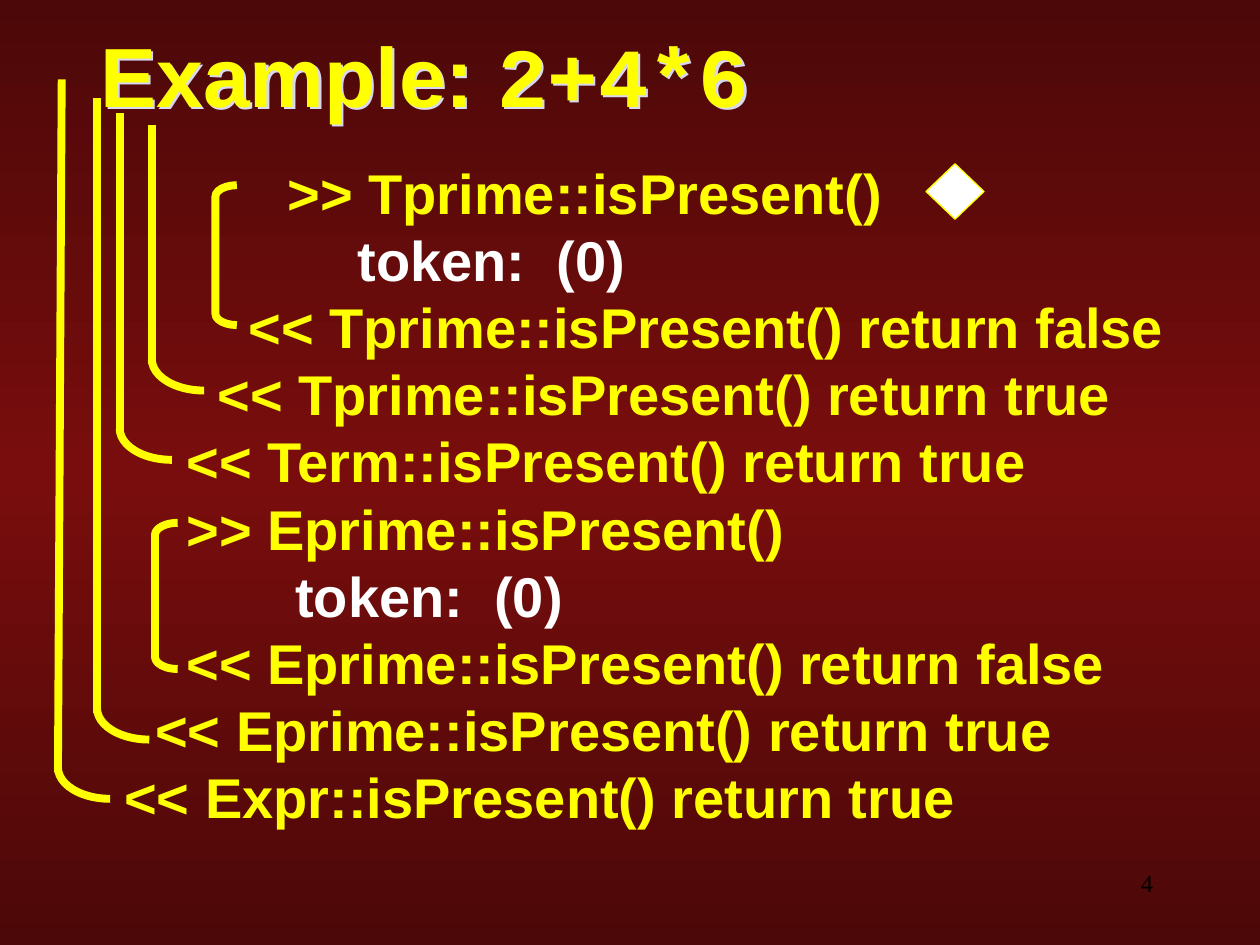
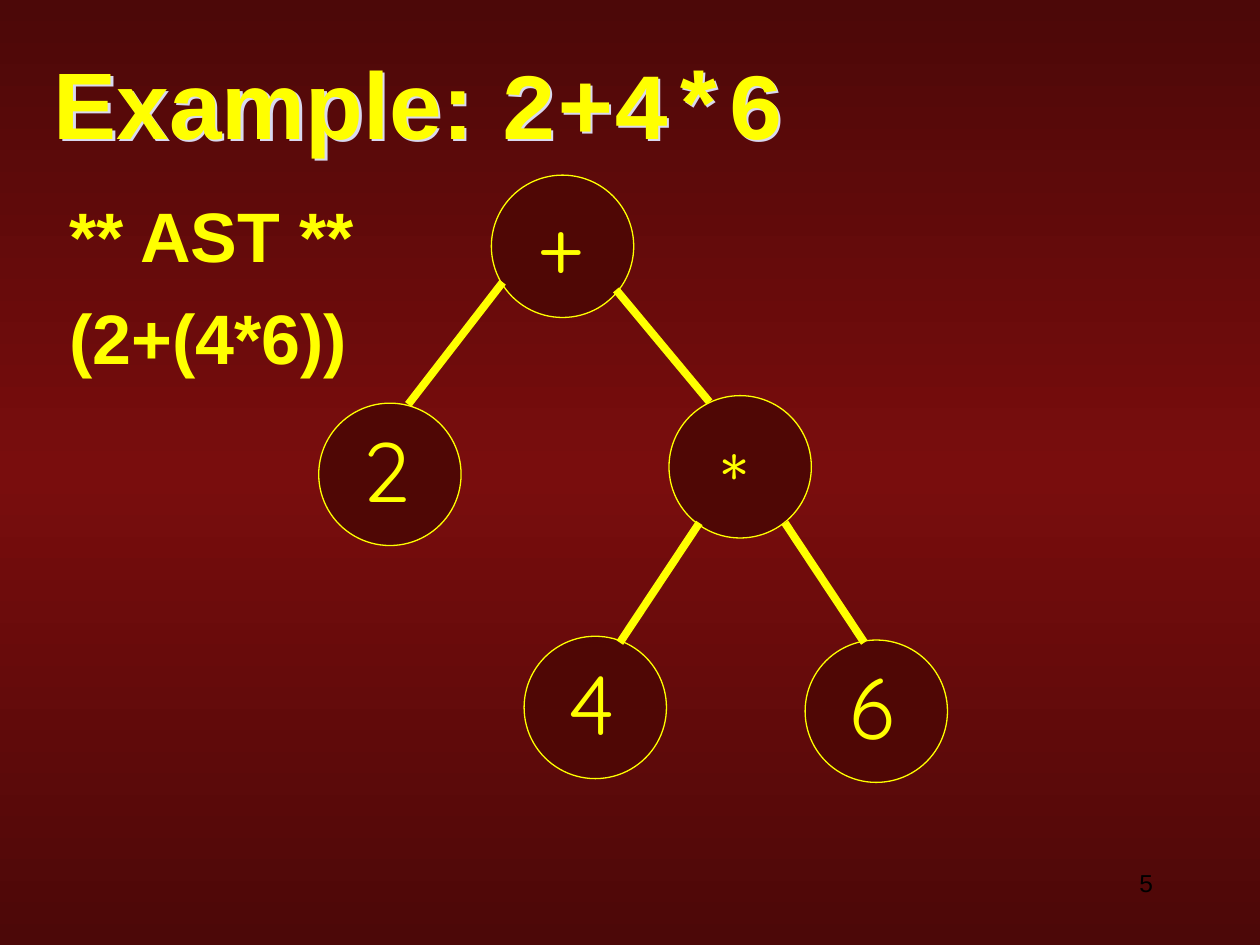
from copy import deepcopy

from lxml import etree
from pptx import Presentation
from pptx.dml.color import RGBColor
from pptx.enum.shapes import MSO_CONNECTOR, MSO_SHAPE
from pptx.enum.text import MSO_ANCHOR, PP_ALIGN
from pptx.oxml.ns import qn
from pptx.util import Inches, Pt

STRAIGHT = MSO_CONNECTOR.STRAIGHT
ARC, BRACKET = MSO_SHAPE.ARC, MSO_SHAPE.LEFT_BRACKET
CIRCLE, DIAMOND = MSO_SHAPE.OVAL, MSO_SHAPE.DIAMOND
TOP = MSO_ANCHOR.TOP
LEFT, RIGHT = PP_ALIGN.LEFT, PP_ALIGN.RIGHT

YELLOW = RGBColor(0xFF, 0xFF, 0x00)
WHITE = RGBColor(0xFF, 0xFF, 0xFF)
BLACK = RGBColor(0x00, 0x00, 0x00)
SHADOW_BLUE = RGBColor(0xD8, 0xD8, 0xF0)
DARK_RED = RGBColor(0x4C, 0x08, 0x08)
MID_RED = RGBColor(0x79, 0x0D, 0x0D)
NODE_RED = RGBColor(0x4F, 0x07, 0x05)

SANS, MONO, ROUND, SERIF = "Arial", "Courier New", "Quicksand", "Times New Roman"
COLUMNS, ROWS = 100, 75
THICK, THIN = 4.5, 0.75
NODE_SIZE = 11.3
CALL_INDENT = 2.47  # columns per call depth

# Call depth, text, colour
TRACE = [
    (6.25, ">> Tprime::isPresent()", YELLOW),
    (8.5, "token:  (0)", WHITE),
    (5, "<< Tprime::isPresent() return false", YELLOW),
    (4, "<< Tprime::isPresent() return true", YELLOW),
    (3, "<< Term::isPresent() return true", YELLOW),
    (3, ">> Eprime::isPresent()", YELLOW),
    (6.5, "token:  (0)", WHITE),
    (3, "<< Eprime::isPresent() return false", YELLOW),
    (2, "<< Eprime::isPresent() return true", YELLOW),
    (1, "<< Expr::isPresent() return true", YELLOW),
]
# Top column, top row, hook column, hook row
RAILS = [
    (4.9, 6.3, 4.6, 58.4),
    (12.05, 9.9, 12.05, 26),
    (9.5, 9, 9.5, 31.5),
    (7.7, 7.8, 7.7, 53.7),
]
BRACKETS = [(17.1, 14.7, 1.7, 11.1), (12.3, 41.5, 1.8, 11.6)]
# Symbol, circle column and row, symbol offset inside the circle
NODES = [
    ("4", 41.6, 50.5, 2.5, 0.7),
    ("6", 63.9, 50.8, 2.5, 0.7),
    ("*", 53.1, 31.4, 3.2, 2.2),
    ("2", 25.3, 32, 2.5, 0.7),
    ("+", 39, 13.9, 2.7, 0.7),
]
EDGES = [
    (55.5, 41.5, 49.2, 51),
    (39.9, 22.4, 32.4, 32.1),
    (62.3, 41.5, 68.6, 51),
    (48.9, 23, 56.3, 31.9),
]


class Deck:
    def __init__(self):
        self.presentation = Presentation()
        self.presentation.slide_width = Inches(10)
        self.presentation.slide_height = Inches(7.5)
        self.column = self.presentation.slide_width / COLUMNS
        self.row = self.presentation.slide_height / ROWS
        self.slide = None
        self.paint_background()

    def paint_background(self):
        master = self.presentation.slide_master
        fill = master.background.fill
        fill.gradient()
        fill.gradient_angle = 90
        stop_list = master.element.find(".//" + qn("a:gsLst"))
        stop_list.append(deepcopy(stop_list[0]))
        colours = (DARK_RED, MID_RED, DARK_RED)
        for index, (stop, colour) in enumerate(zip(fill.gradient_stops, colours)):
            stop.position = index / 2
            stop.color.rgb = colour

    def place(self, x, y, width, height):
        """Turn grid columns and rows into slide lengths."""
        return (round(x * self.column), round(y * self.row),
                round(width * self.column), round(height * self.row))

    def new_slide(self, number, number_font):
        self.slide = self.presentation.slides.add_slide(
            self.presentation.slide_layouts[6])
        box = self.text_box(82.5, 68.4, 10, 3.4)
        self.run(self.paragraph(box.text_frame, align=RIGHT), str(number), 14,
                 number_font, BLACK, bold=False)

    def text_box(self, x, y, width, height, wrap=True):
        box = self.slide.shapes.add_textbox(*self.place(x, y, width, height))
        box.text_frame.word_wrap = wrap
        box.text_frame.vertical_anchor = TOP
        return box

    def paragraph(self, frame, indent=0, before=0, align=LEFT):
        """Use the empty first paragraph of a frame, or add the next one."""
        first = not frame.paragraphs[0].runs
        paragraph = frame.paragraphs[0] if first else frame.add_paragraph()
        paragraph.alignment = align
        if indent:
            paragraph._p.get_or_add_pPr().set(
                "marL", str(round(indent * self.column)))
        if before and not first:
            paragraph.space_before = Pt(before)
        return paragraph

    def run(self, paragraph, text, size, font=SANS, colour=YELLOW, bold=True):
        run = paragraph.add_run()
        run.text = text
        run.font.size = Pt(size)
        run.font.name = font
        run.font.bold = bold
        run.font.color.rgb = colour

    def title(self, x, y, size):
        box = self.text_box(x, y, 90, 8.3)
        self.add_shadow(box)
        paragraph = self.paragraph(box.text_frame)
        for text, font in (("Example: ", SANS), ("2+4*6", MONO)):
            self.run(paragraph, text, size, font)

    def add_shadow(self, box):
        """Give an unfilled box a shadow, which falls from its letters."""
        effects = etree.SubElement(box._element.spPr, qn("a:effectLst"))
        shadow = etree.SubElement(effects, qn("a:outerShdw"),
                                  dist="22000", dir="2700000")
        etree.SubElement(shadow, qn("a:srgbClr"), val=str(SHADOW_BLUE))

    def shape(self, kind, x, y, width, height, fill=None, weight=THIN):
        shape = self.slide.shapes.add_shape(kind, *self.place(x, y, width, height))
        shape.shadow.inherit = False
        if fill is None:
            shape.fill.background()
        else:
            shape.fill.solid()
            shape.fill.fore_color.rgb = fill
        shape.line.color.rgb = YELLOW
        shape.line.width = Pt(weight)
        return shape

    def line(self, x1, y1, x2, y2):
        connector = self.slide.shapes.add_connector(
            STRAIGHT, *self.place(x1, y1, x2, y2))
        connector.line.color.rgb = YELLOW
        connector.line.width = Pt(THICK)
        etree.SubElement(connector._element.spPr, qn("a:effectLst"))

    def rail(self, top_x, top_y, hook_x, hook_y):
        """Draw a long line that ends in a quarter-turn hook to the right."""
        hook = self.shape(ARC, hook_x, hook_y, 8.3, 5, weight=THICK)
        hook.adjustments[0] = 54  # 90 degrees
        hook.adjustments[1] = 108  # 180 degrees
        self.line(top_x, top_y, hook_x, hook_y + 2.9)

    def bracket(self, x, y, width, height):
        bracket = self.shape(BRACKET, x, y, width, height, weight=THICK)
        bracket.adjustments[0] = 0.53

    def node(self, symbol, x, y, shift_x, shift_y):
        self.shape(CIRCLE, x, y, NODE_SIZE, NODE_SIZE, NODE_RED)
        box = self.text_box(x + shift_x, y + shift_y, 5.8, 9, wrap=False)
        self.run(self.paragraph(box.text_frame), symbol, 48, ROUND, bold=False)


def build_trace_slide(deck):
    deck.new_slide(4, SERIF)
    deck.title(7, 1.35, 48)
    frame = deck.text_box(6.4, 12.05, 92, 56).text_frame
    for depth, text, colour in TRACE:
        paragraph = deck.paragraph(frame, depth * CALL_INDENT)
        deck.run(paragraph, text, 32, colour=colour)
    for bracket in BRACKETS:
        deck.bracket(*bracket)
    for rail in RAILS:
        deck.rail(*rail)
    deck.shape(DIAMOND, 73.5, 13, 4.6, 4.4, WHITE)


def build_tree_slide(deck):
    deck.new_slide(5, SANS)
    deck.title(3.3, 3.05, 54)
    frame = deck.text_box(4.5, 14.8, 43.9, 16.5).text_frame
    for text in ("** AST **", "(2+(4*6))"):
        deck.run(deck.paragraph(frame, before=10), text, 40)
    for node in NODES:
        deck.node(*node)
    for edge in EDGES:
        deck.line(*edge)


def main():
    deck = Deck()
    build_trace_slide(deck)
    build_tree_slide(deck)
    deck.presentation.save("out.pptx")


if __name__ == "__main__":
    main()
